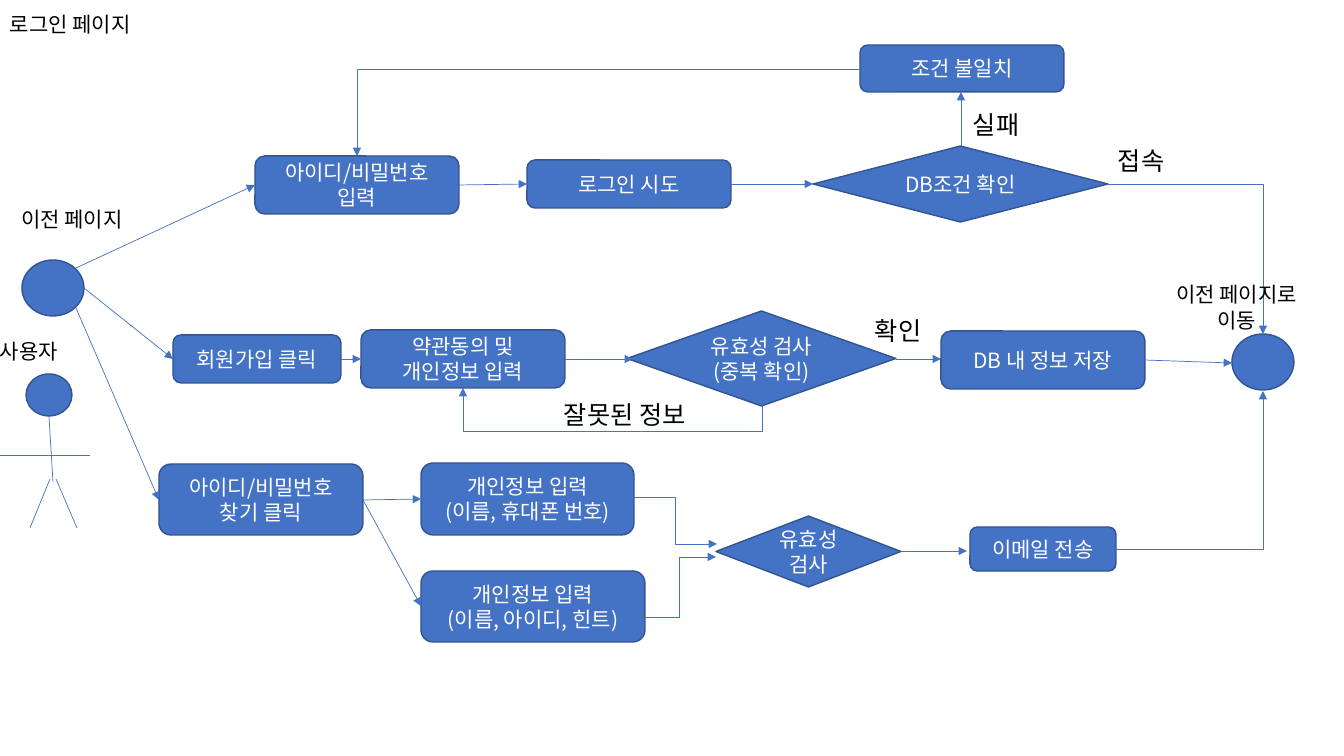
from lxml import etree
from pptx import Presentation, util as u
from pptx.dml.color import RGBColor
from pptx.enum import shapes, text
from pptx.oxml.ns import qn

SCALE = 914400 / 100.8
FONT = "Noto Sans CJK KR"
COLORS = {"fill": "4472C4", "edge": "325491", "dark": "000000", "light": "FFFFFF"}
KINDS = shapes.MSO_SHAPE
LINKS = shapes.MSO_CONNECTOR
MID, LEFT = text.PP_ALIGN.CENTER, text.PP_ALIGN.LEFT

# left, top, width, height, words; "\v" breaks a line, "\n" a paragraph
STEPS = [
    (527, 160, 204, 48, "로그인 시도"),
    (173, 335, 168, 48, "회원가입 클릭"),
    (361, 330, 204, 58, "약관동의 및 개인정보 입력"),
    (255, 156, 204, 58, "아이디/비밀번호 입력"),
    (860, 45, 204, 47, "조건 불일치"),
    (941, 331, 204, 58, "DB 내 정보 저장"),
    (159, 464, 204, 71, "아이디/비밀번호 찾기 클릭"),
    (421, 463, 213, 72, "개인정보 입력\n(이름, 휴대폰 번호)"),
    (421, 571, 224, 71, "개인정보 입력\n(이름, 아이디, 힌트)"),
    (970, 527, 146, 44, "이메일 전송"),
]
CHECKS = [
    (813, 146, 295, 76, "DB조건 확인"),
    (627, 311, 269, 95, "유효성 검사\v(중복 확인)"),
    (716, 516, 185, 71, "유효성 검사"),
]
ROUNDS = [(26, 374, 46, 42), (1232, 334, 62, 56), (22, 260, 62, 56)]
LIMBS = [(0, 455, 90, 455), (49, 416, 53, 482), (56, 479, 77, 528), (30, 528, 50, 479)]
ARROWS = [
    (76, 268, 255, 185), (459, 185, 527, 184), (731, 184, 813, 184),
    (961, 146, 961, 92), (84, 288, 173, 359), (341, 359, 361, 359),
    (565, 359, 633, 359), (896, 359, 941, 359), (1144, 360, 1232, 363),
    (76, 308, 159, 500), (363, 500, 421, 499), (363, 500, 421, 606),
    (901, 551, 967, 551),
]
ELBOWS = [(634, 497, 717, 544), (642, 617, 716, 557)]
CORNERS = [(860, 69, 357, 156), (1108, 184, 1263, 334), (1115, 549, 1263, 391)]
RETRY = (762, 406, 463, 388)
DROP = 25  # how far the retry arrow dips below its start
# left, top, width, height, words, size, alignment
LABELS = [
    (-10, 334, 84, 35, "사용자", 15, LEFT),
    (1159, 277, 155, 61, "이전 페이지로\n이동", 15, MID),
    (5, 202, 134, 35, "이전 페이지", 15, MID),
    (1108, 140, 72, 40, "접속", 18, LEFT),
    (963, 104, 72, 40, "실패", 18, LEFT),
    (865, 310, 72, 40, "확인", 18, LEFT),
    (554, 394, 156, 40, "잘못된 정보", 18, LEFT),
]


def px(*nums):
    """Turn pixels into EMU."""
    return [u.Emu(round(n * SCALE)) for n in nums]


def tint(key):
    """Look up a colour."""
    return RGBColor.from_string(COLORS[key])


def write(frame, words, size, key, align):
    """Put styled words into a text frame."""
    frame.text = words
    for para in frame.paragraphs:
        para.alignment = align
        font = para.font
        font.name, font.size = FONT, u.Pt(size)
        font.color.rgb = tint(key)
        latin = font._element.find(qn("a:latin"))
        east = etree.Element(qn("a:ea"), typeface=FONT)
        latin.addnext(east)


def node(slide, kind, box, words=""):
    """Add a filled flow shape."""
    shape = slide.shapes.add_shape(kind, *px(*box))
    shape.shadow.inherit = False
    shape.fill.solid()
    shape.fill.fore_color.rgb = tint("fill")
    shape.line.color.rgb = tint("edge")
    shape.line.width = u.Pt(1)
    if words:
        frame = shape.text_frame
        frame.word_wrap = True
        frame.vertical_anchor = text.MSO_ANCHOR.MIDDLE
        write(frame, words, 15, "light", MID)


def link(slide, ends, kind=LINKS.STRAIGHT, head=True):
    """Add a thin connector, with an arrowhead if asked."""
    line = slide.shapes.add_connector(kind, *px(*ends))
    line.line.color.rgb = tint("fill")
    line.line.width = u.Pt(0.5)
    if head:
        etree.SubElement(line.line._get_or_add_ln(), qn("a:tailEnd"), type="triangle")
    etree.SubElement(line._element.spPr, qn("a:effectLst"))
    return line


def corner(slide, ends):
    """Add an arrow that runs across, then turns once."""
    line = link(slide, ends, LINKS.ELBOW)
    line._element.spPr.find(qn("a:prstGeom")).set("prst", "bentConnector2")


def loop(slide, ends, drop):
    """Add an arrow that dips down, runs back and rises."""
    x1, y1, x2, y2 = ends
    midx, midy = (x1 + x2) / 2, (y1 + y2) / 2
    wide, high = (x1 - x2) / 2, (y1 - y2) / 2
    turned = (midx + high, midy - wide, midx - high, midy + wide)
    line = link(slide, turned, LINKS.ELBOW)
    props = line._element.spPr
    props.find(qn("a:xfrm")).set("rot", str(90 * 60000))
    geom = props.find(qn("a:prstGeom"))
    guides = geom.find(qn("a:avLst"))
    if guides is None:
        guides = etree.SubElement(geom, qn("a:avLst"))
    ratio = round(-drop / (y1 - y2) * 100000)
    etree.SubElement(guides, qn("a:gd"), name="adj1", fmla=f"val {ratio}")


def label(slide, box, words, size, align):
    """Add a caption that does not wrap."""
    frame = slide.shapes.add_textbox(*px(*box)).text_frame
    frame.word_wrap = False
    frame.auto_size = text.MSO_AUTO_SIZE.SHAPE_TO_FIT_TEXT
    write(frame, words, size, "dark", align)


def title(slide, box, words):
    """Add the page heading."""
    frame = slide.shapes.add_textbox(*px(*box)).text_frame
    frame.word_wrap = True
    frame.vertical_anchor = text.MSO_ANCHOR.MIDDLE
    write(frame, words, 15, "dark", LEFT)
    frame.paragraphs[0].line_spacing = 0.9


def main():
    """Build the login flow slide."""
    deck = Presentation()
    deck.slide_width, deck.slide_height = px(1344, 756)
    slide = deck.slides.add_slide(deck.slide_layouts[6])
    title(slide, (0, 2, 186, 47), "로그인 페이지")
    for *box, words in STEPS:
        node(slide, KINDS.ROUNDED_RECTANGLE, box, words)
    for *box, words in CHECKS:
        node(slide, KINDS.FLOWCHART_DECISION, box, words)
    for box in ROUNDS:
        node(slide, KINDS.OVAL, box)
    for ends in LIMBS:
        link(slide, ends, head=False)
    for ends in ARROWS:
        link(slide, ends)
    for ends in ELBOWS:
        link(slide, ends, LINKS.ELBOW)
    for ends in CORNERS:
        corner(slide, ends)
    loop(slide, RETRY, DROP)
    for *box, words, size, align in LABELS:
        label(slide, box, words, size, align)
    deck.save("out.pptx")


main()
